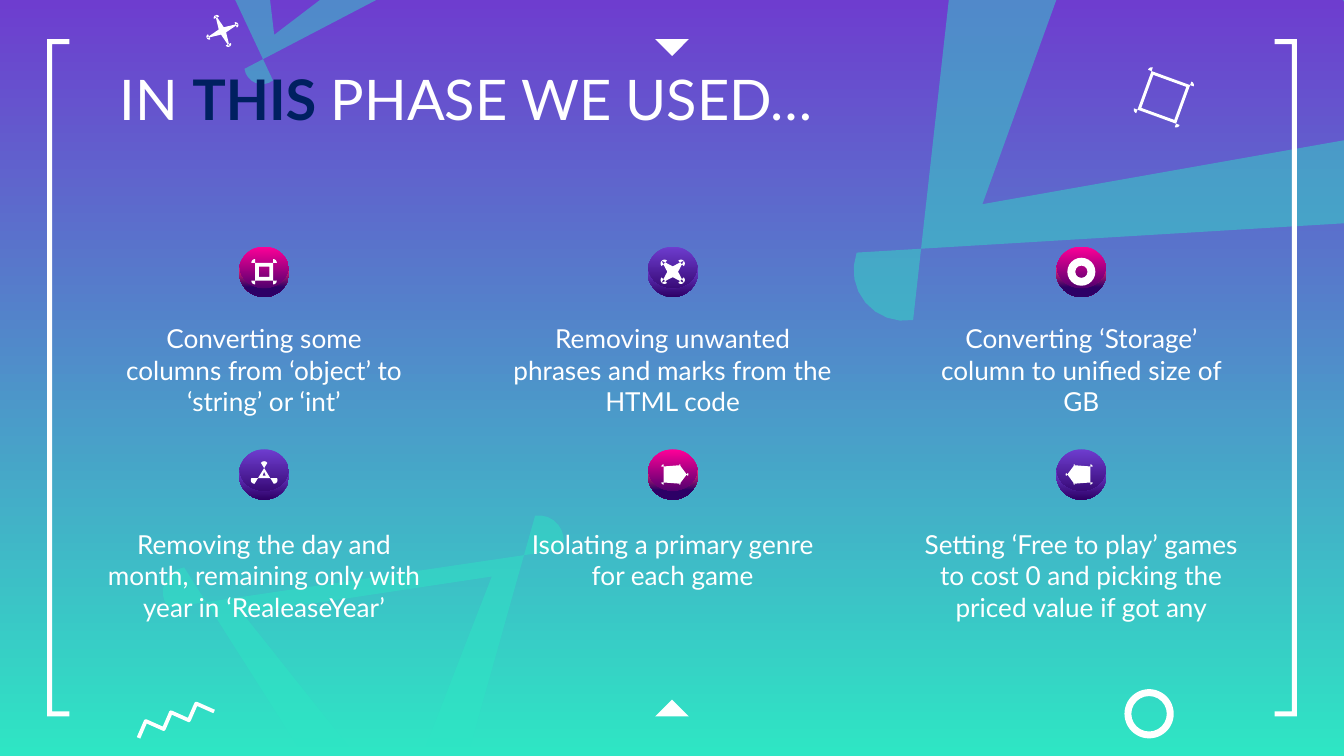
import math

from lxml import etree
from pptx import Presentation
from pptx.dml.color import RGBColor
from pptx.enum.shapes import MSO_SHAPE
from pptx.enum.text import MSO_ANCHOR, MSO_AUTO_SIZE, PP_ALIGN
from pptx.oxml.ns import qn
from pptx.util import Pt

TRIANGLE, OVAL, DONUT = MSO_SHAPE.ISOSCELES_TRIANGLE, MSO_SHAPE.OVAL, MSO_SHAPE.DONUT
LEFT, CENTER = PP_ALIGN.LEFT, PP_ALIGN.CENTER
TOP, NO_AUTOFIT = MSO_ANCHOR.TOP, MSO_AUTO_SIZE.NONE

WHITE = RGBColor(0xFF, 0xFF, 0xFF)
NAVY = RGBColor(0x00, 0x20, 0x60)
PURPLE = RGBColor(0x6E, 0x3D, 0xCF)
TEAL = RGBColor(0x2E, 0xE6, 0xC4)
PINK = RGBColor(0xFF, 0x00, 0x98)
RED = RGBColor(0xF4, 0x25, 0x79)
INDIGO = RGBColor(0x2D, 0x00, 0x66)
FONT = "Lato"
WIDTH, HEIGHT = 720, 405

# Corners are (x, y) or (x, y, radius).
RIBBONS = [
    [[(75.6, 307.4, 13.4), (309.6, 272.9, 13.4), (232.6, 468.7), (228.2, 474.5), (197.3, 459.4)],
     [(263.5, 308.9), (130.3, 329), (214.6, 434.9)]],
    [[(790.6, 0), (817.2, 31.7), (817.2, 113.8), (442.8, 179.6, 27.2), (508.3, 0),
      (565.9, 0), (526.3, 109.4), (774.7, 65.5), (719.3, 0)]],
    [[(201.6, 0), (133.2, 53.3, 9.5), (126, 0), (144.7, 0), (146.9, 18.7), (171.4, 0)]],
]

COLUMNS = [141.5 + 218.9 * column for column in range(3)]
ROWS = [(145.6, 159.8), (254.2, 270)]  # badge centre, caption top
STEPS = [
    [("square", PINK, 170, "Converting some columns from ‘object’ to ‘string’ or ‘int’"),
     ("cross", PURPLE, 185, "Removing unwanted phrases and marks from the HTML code"),
     ("ring", PINK, 170, "Converting ‘Storage’ column to unified size of GB")],
    [("triangle", PURPLE, 187, "Removing the day and month, remaining only with year in ‘RealeaseYear’"),
     ("right tag", PINK, 170, "Isolating a primary genre for each game"),
     ("left tag", PURPLE, 186, "Setting ‘Free to play’ games to cost 0 and picking the priced value if got any")],
]


def round_corners(corners):
    """Replace each corner that has a radius by points on its fillet arc."""
    points = []
    for index, (x, y, *radius) in enumerate(corners):
        if not radius:
            points.append((x, y))
            continue
        before, after = corners[index - 1], corners[(index + 1) % len(corners)]
        first = math.atan2(before[1] - y, before[0] - x)
        second = math.atan2(after[1] - y, after[0] - x)
        turn = math.remainder(second - first, math.tau)
        reach = radius[0] / math.sin(abs(turn) / 2)
        middle = first + turn / 2
        center_x, center_y = x + reach * math.cos(middle), y + reach * math.sin(middle)
        sweep = math.pi - abs(turn)
        for step in range(9):
            angle = middle + math.pi + math.copysign(sweep, turn) * (0.5 - step / 8) * -1
            points.append((center_x + radius[0] * math.cos(angle),
                           center_y + radius[0] * math.sin(angle)))
    return points


def square(half, radius=None):
    signs = [(-1, -1), (1, -1), (1, 1), (-1, 1)]
    return [(a * half, b * half) + ((radius,) if radius else ()) for a, b in signs]


def cross(length, half):
    arm = [(half, -half), (length, -half, half * 0.95), (length, half, half * 0.95)]
    return [corner for turn in range(4) for corner in rotate(arm, 90 * turn)]


def rotate(corners, degrees):
    cosine, sine = math.cos(math.radians(degrees)), math.sin(math.radians(degrees))
    return [(x * cosine - y * sine, x * sine + y * cosine, *radius) for x, y, *radius in corners]


def arc(center_x, center_y, radius_x, radius_y, start, end):
    angles = [math.radians(start + (end - start) * step / 24) for step in range(25)]
    return [(center_x + radius_x * math.cos(a), center_y + radius_y * math.sin(a)) for a in angles]


def add_outline(slide, left, top, contours, color=WHITE, closed=True):
    builder = None
    for corners in contours:
        points = [(Pt(left + x), Pt(top + y)) for x, y in round_corners(corners)]
        if builder is None:
            builder = slide.shapes.build_freeform(*points[0])
        else:
            builder.move_to(*points[0])
        builder.add_line_segments(points[1:], close=closed)
    return finish(builder.convert_to_shape(), color)


def add_preset(slide, kind, left, top, width, height, color=WHITE):
    shape = slide.shapes.add_shape(kind, Pt(left), Pt(top), Pt(width), Pt(height))
    return finish(shape, color)


def finish(shape, color):
    shape.shadow.inherit = False
    shape.line.fill.background()
    shape.fill.solid()
    shape.fill.fore_color.rgb = color
    return shape


def fade_down(fill, first, last, end=1.0):
    fill.gradient()
    fill.gradient_angle = 270
    for stop, color, position in zip(fill.gradient_stops, (first, last), (0, end)):
        stop.color.rgb = color
        stop.position = position


def add_ribbons(slide, left, top):
    for contours in RIBBONS:
        ribbon = add_outline(slide, left, top, contours, TEAL)
        color = ribbon.fill._xPr.find(".//" + qn("a:srgbClr"))
        etree.SubElement(color, qn("a:alpha")).set("val", "45000")


def add_frame(slide, left, top, width, height):
    arm, stroke = 12, 2.7
    bracket = [(0, 0), (arm, 0), (arm, stroke), (stroke, stroke), (stroke, height - stroke),
               (arm, height - stroke), (arm, height), (0, height)]
    add_outline(slide, left, top, [bracket])
    add_outline(slide, left, top, [[(width - x, y) for x, y in bracket]])
    pointer_left = left + width / 2 - 9
    add_preset(slide, TRIANGLE, pointer_left, top, 18, 9).rotation = 180
    add_preset(slide, TRIANGLE, pointer_left, top + height - 9, 18, 9)


def add_ornaments(slide, left, top):
    add_outline(slide, left + 623.5, top + 52.2,
                [rotate(square(13, 2), 20), rotate(square(9.4), 20)])
    add_outline(slide, left + 119.2, top + 16.6, [rotate(cross(9.2, 1.5), -24)])
    add_preset(slide, DONUT, left + 602.4, top + 369.2, 26.4, 26.4).adjustments[0] = 0.14
    zigzag = [(74.2 + 13.5 * k + 3.9 * peak, 395.3 - 4.7 * k - 9 * peak)
              for k in range(4) for peak in (0, 1)][:-1]
    line = add_outline(slide, left, top, [zigzag], closed=False)
    line.fill.background()
    line.line.color.rgb = WHITE
    line.line.width = Pt(2)


def write(text_frame, parts, size, alignment, insets):
    """Fill a frame with one paragraph of (text, color, bold) parts."""
    text_frame.word_wrap = True
    text_frame.auto_size = NO_AUTOFIT
    text_frame.vertical_anchor = TOP
    (text_frame.margin_left, text_frame.margin_top,
     text_frame.margin_right, text_frame.margin_bottom) = map(Pt, insets)
    paragraph = text_frame.paragraphs[0]
    paragraph.alignment = alignment
    for text, color, bold in parts:
        run = paragraph.add_run()
        run.text = text
        run.font.name, run.font.size = FONT, Pt(size)
        run.font.color.rgb, run.font.bold = color, bold


def add_title(slide, left, top, width, height):
    title = slide.shapes.title
    title.left, title.top, title.width, title.height = map(Pt, (left, top, width, height))
    write(title.text_frame, [("IN ", WHITE, False), ("THIS", NAVY, True),
                             (" PHASE WE USED…", WHITE, False)], 30, LEFT, (7.2,) * 4)
    title.element.getparent().append(title.element)  # bring to front


def add_caption(slide, left, top, width, height, text):
    box = slide.shapes.add_textbox(Pt(left), Pt(top), Pt(width), Pt(height))
    write(box.text_frame, [(text, WHITE, False)], 14, CENTER, (7.2, 13, 7.2, 0))


def add_badge(slide, x, y, symbol, color):
    """Draw a round badge centred on x, y."""
    radius = 13.5
    disc = add_preset(slide, OVAL, x - radius, y - radius, 2 * radius, 2 * radius)
    fade_down(disc.fill, color, INDIGO)
    rim = arc(0, 0, radius, radius, -10, 190) + arc(0, -2.3, radius, 11.5, 180, 0)
    shade = add_outline(slide, x, y, [rim])
    if color == PINK:
        fade_down(shade.fill, RED, INDIGO, 0.67)
    else:
        fade_down(shade.fill, color, INDIGO)
    if symbol == "ring":
        add_preset(slide, DONUT, x - 7.5, y - 7.5, 15, 15).adjustments[0] = 0.28
        return
    tag = [(-6.1, -5.4, 1.2), (4, -5.4, 1.2), (8.8, 0, 1.2), (4, 5.4, 1.2), (-6.1, 5.4, 1.2)]
    glyphs = {
        "square": [square(6.8, 2), square(2.8)],
        "cross": [rotate(cross(8.3, 2.05), 45)],
        "triangle": [[(0, -8.8, 2), (8.8, 5, 2), (-8.8, 5, 2)], [(0, -1.4), (0.9, 0.7), (-0.9, 0.7)]],
        "right tag": [tag],
        "left tag": [rotate(tag, 180)],
    }
    add_outline(slide, x, y, glyphs[symbol])


def main():
    presentation = Presentation()
    presentation.slide_width, presentation.slide_height = Pt(WIDTH), Pt(HEIGHT)
    slide = presentation.slides.add_slide(presentation.slide_layouts[5])
    fade_down(slide.background.fill, PURPLE, TEAL)
    add_ribbons(slide, 0, 0)
    add_frame(slide, 25.2, 21, 669.6, 362.8)
    add_ornaments(slide, 0, 0)
    add_title(slide, 56.9, 27.4, 572.4, 65.5)
    for (badge_y, caption_top), steps in zip(ROWS, STEPS):
        for x, (symbol, color, width, text) in zip(COLUMNS, steps):
            add_caption(slide, x - width / 2, caption_top, width, 59.8, text)
            add_badge(slide, x, badge_y, symbol, color)
    presentation.save("out.pptx")


if __name__ == "__main__":
    main()
